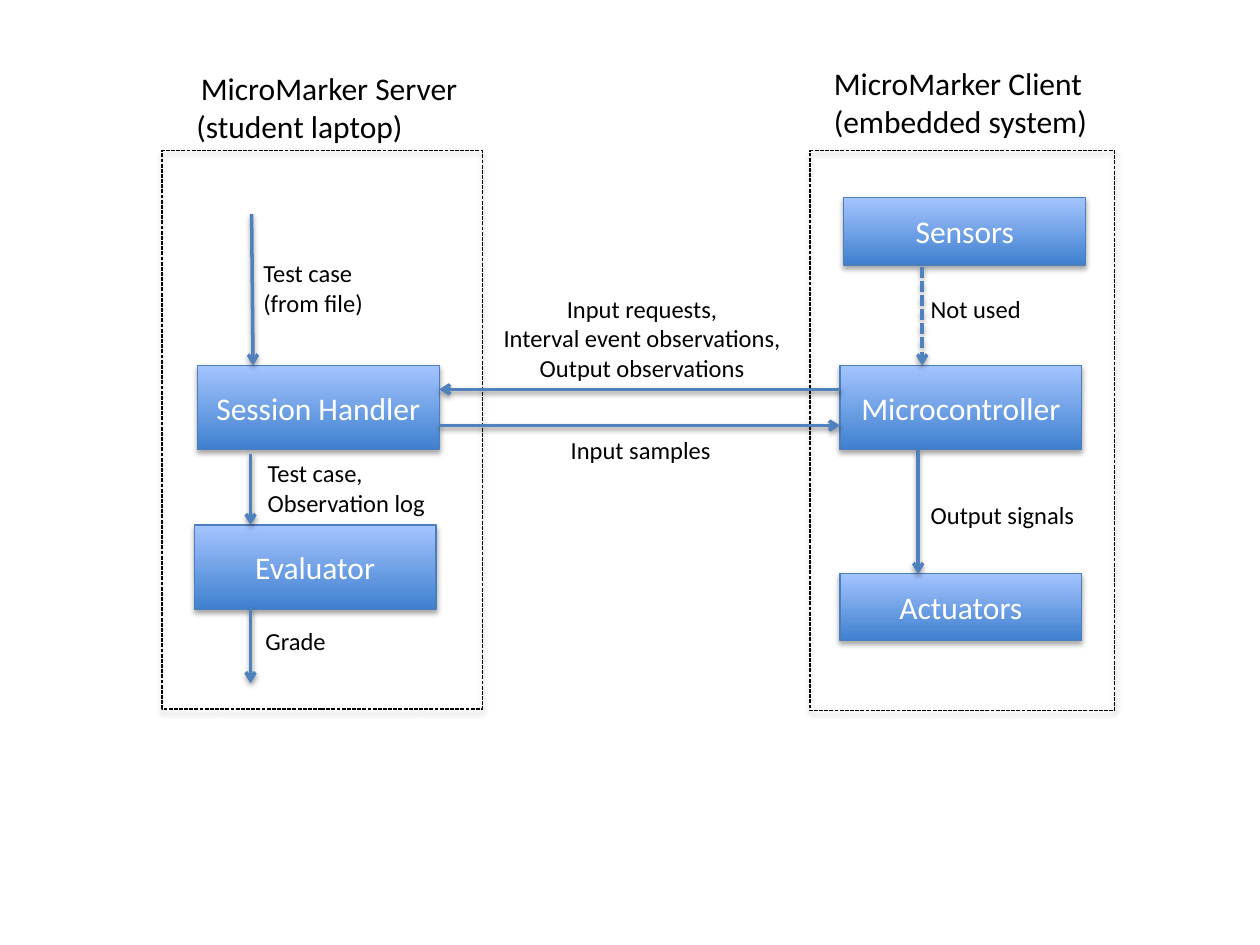
from lxml import etree
from pptx import Presentation
from pptx.dml.color import RGBColor
from pptx.enum.dml import MSO_LINE
from pptx.enum.shapes import MSO_CONNECTOR, MSO_SHAPE
from pptx.enum.text import MSO_ANCHOR, MSO_AUTO_SIZE, PP_ALIGN
from pptx.oxml import parse_xml
from pptx.oxml.ns import nsdecls, qn
from pptx.util import Pt

BLACK = RGBColor(0x00, 0x00, 0x00)
WHITE = RGBColor(0xFF, 0xFF, 0xFF)
BOX_BOTTOM = RGBColor(0x3F, 0x80, 0xCE)
BOX_TOP = RGBColor(0xA4, 0xC4, 0xFF)
BOX_LINE = RGBColor(0x4B, 0x7E, 0xBC)
ARROW_BLUE = RGBColor(0x4F, 0x81, 0xBD)
LEFT, CENTER = PP_ALIGN.LEFT, PP_ALIGN.CENTER
DASH = MSO_LINE.SQUARE_DOT
RECTANGLE = MSO_SHAPE.RECTANGLE
STRAIGHT = MSO_CONNECTOR.STRAIGHT


def add_shadow(shape, distance, opacity):
    """Give a shape or connector a soft shadow straight below it."""
    shape._element.spPr.append(parse_xml(
        f'<a:effectLst {nsdecls("a")}>'
        f'<a:outerShdw blurRad="{Pt(3.1)}" dist="{Pt(distance)}" dir="5400000" rotWithShape="0">'
        f'<a:srgbClr val="000000"><a:alpha val="{opacity * 1000}"/></a:srgbClr>'
        '</a:outerShdw></a:effectLst>'))


def write_lines(frame, lines, size, color):
    """Write (text, alignment) pairs as the paragraphs of a text frame."""
    for index, (text, alignment) in enumerate(lines):
        para = frame.add_paragraph() if index else frame.paragraphs[0]
        para.alignment = alignment
        span = para.add_run()
        span.text = text
        span.font.name = "Calibri"
        span.font.size = Pt(size)
        span.font.color.rgb = color


deck = Presentation()
deck.slide_width, deck.slide_height = Pt(720), Pt(540)
page = deck.slides.add_slide(deck.slide_layouts[6])

# Dashed frames of the server and the client: left, width, height
for left, width, height in [(92.6, 183, 319), (462.8, 174.2, 320)]:
    frame_box = page.shapes.add_shape(RECTANGLE, Pt(left), Pt(86.2), Pt(width), Pt(height))
    frame_box.fill.background()
    frame_box.line.color.rgb = BLACK
    frame_box.line.width = Pt(0.75)
    frame_box.line.dash_style = DASH
    add_shadow(frame_box, 1.8, 35)

# Components: name, left, top, height
components = [
    ("Microcontroller", 480, 208.8, 48.2),
    ("Actuators", 480, 327.6, 38.4),
    ("Sensors", 482.2, 113, 38.4),
    ("Session Handler", 112.8, 208.8, 48.2),
    ("Evaluator", 111, 300, 48.2),
]
for name, left, top, height in components:
    box = page.shapes.add_shape(RECTANGLE, Pt(left), Pt(top), Pt(138.2), Pt(height))
    box.fill.gradient()
    box.fill.gradient_angle = 90
    for stop, color in zip(box.fill.gradient_stops, (BOX_BOTTOM, BOX_TOP)):
        stop.color.rgb = color
    box.line.color.rgb = BOX_LINE
    box.line.width = Pt(0.75)
    box.text_frame.vertical_anchor = MSO_ANCHOR.MIDDLE
    write_lines(box.text_frame, [(name, CENTER)], 18, WHITE)
    add_shadow(box, 1.8, 35)

# Arrows: start x, start y, end x, end y, dash style
arrows = [
    (527, 152.6, 527, 208.8, DASH),
    (524.7, 257, 524.7, 328, None),
    (143.2, 259.2, 143.2, 300, None),
    (480, 222.5, 251, 222.5, None),
    (251, 243.2, 480, 243.2, None),
    (143.2, 347.2, 143.2, 390.4, None),
    (143.8, 122.4, 144.6, 208.8, None),
]
for start_x, start_y, end_x, end_y, dash in arrows:
    arrow = page.shapes.add_connector(STRAIGHT, Pt(start_x), Pt(start_y), Pt(end_x), Pt(end_y))
    arrow.line.color.rgb = ARROW_BLUE
    arrow.line.width = Pt(2)
    if dash:
        arrow.line.dash_style = dash
    etree.SubElement(arrow.line._get_or_add_ln(), qn("a:tailEnd"), type="arrow")
    add_shadow(arrow, 1.6, 38)

# Headings and labels: left, top, width, height, text size, lines
labels = [
    (105.1, 36, 166, 51, 18, [("MicroMarker Server", CENTER), ("(student laptop)", LEFT)]),
    (469.4, 33.2, 161.3, 51, 18, [("MicroMarker Client", LEFT), ("(embedded system)", CENTER)]),
    (144.5, 354.4, 49.7, 24.2, 14, [("Grade", LEFT)]),
    (143.4, 144, 72, 41.2, 14, [("Test case", LEFT), ("(from file)", LEFT)]),
    (279.4, 164.4, 175, 58.2, 14, [("Input requests,", CENTER),
                                   ("Interval event observations,", CENTER),
                                   ("Output observations", CENTER)]),
    (319, 245, 95, 24.2, 14, [("Input samples", LEFT)]),
    (145.9, 258.4, 105.1, 41.2, 14, [("Test case,", LEFT), ("Observation log", LEFT)]),
    (524.7, 282.4, 97.2, 24.2, 14, [("Output signals", LEFT)]),
    (524.7, 164.4, 66.2, 24.2, 14, [("Not used", LEFT)]),
]
for left, top, width, height, size, lines in labels:
    label = page.shapes.add_textbox(Pt(left), Pt(top), Pt(width), Pt(height))
    label.text_frame.word_wrap = False
    label.text_frame.auto_size = MSO_AUTO_SIZE.SHAPE_TO_FIT_TEXT
    write_lines(label.text_frame, lines, size, BLACK)

deck.save("out.pptx")
